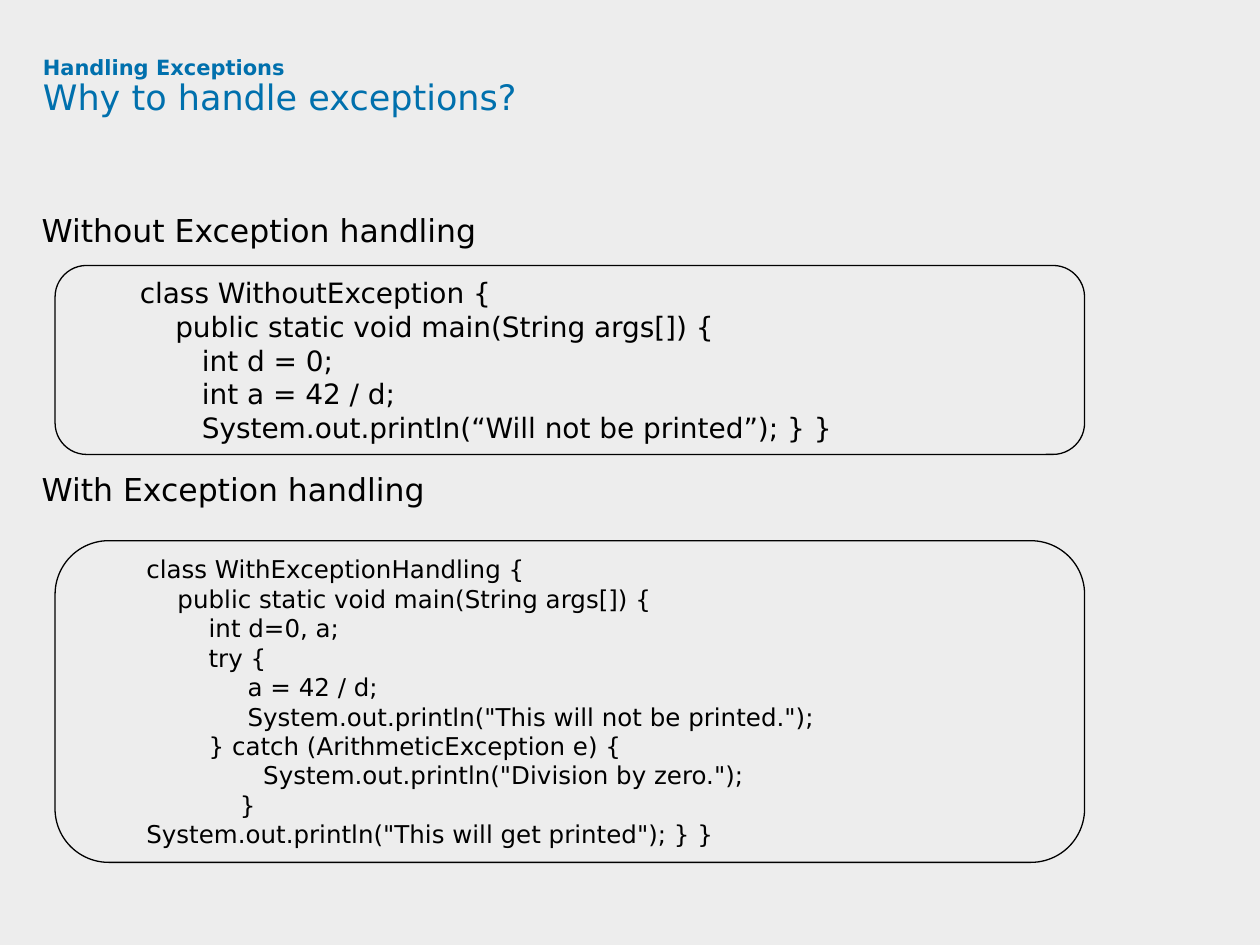
import pptx
import pptx.dml.color
import pptx.enum.shapes
import pptx.enum.text
import pptx.util

Pt = pptx.util.Pt
FONT = "DejaVu Sans"


def color(value):
    return pptx.dml.color.RGBColor.from_string(value)


def add_run(p, text, size, value, bold=False):
    r = p.add_run()
    r.text = text
    r.font.name = FONT
    r.font.size = Pt(size)
    r.font.bold = bold
    r.font.color.rgb = color(value)


prs = pptx.Presentation()
prs.slide_width, prs.slide_height = Pt(720), Pt(540)
s = prs.slides.add_slide(prs.slide_layouts[6])

# Background
s.background.fill.solid()
s.background.fill.fore_color.rgb = color("EDEDED")

# Title and section headings share frames without insets
frames = []
for left, top, width, height in [(24.5, 33, 654.5, 68), (23.8, 117.4, 696, 366)]:
    tf = s.shapes.add_textbox(Pt(left), Pt(top), Pt(width), Pt(height)).text_frame
    tf.word_wrap = True
    tf.margin_left = tf.margin_top = tf.margin_right = tf.margin_bottom = 0
    frames.append(tf)
title, headings = frames

# Title
p = title.paragraphs[0]
p.line_spacing = 0.9
add_run(p, "Handling Exceptions", 12, "0070AD", True)
p.add_line_break()
add_run(p, "Why to handle exceptions?", 20, "0070AD")

# Section headings, with room for the first code box between them
p = headings.paragraphs[0]
add_run(p, "Without Exception handling", 18, "000000")
p = headings.add_paragraph()
p.space_before = Pt(118)
add_run(p, "With Exception handling", 18, "000000")
for p in headings.paragraphs:
    p.line_spacing = Pt(25)
    p.space_after = Pt(4.5)

# Code boxes: top, height, text size, code
code_boxes = [
    (151.7, 108, 16, """class WithoutException {
    public static void main(String args[]) {
       int d = 0;
       int a = 42 / d;
       System.out.println(“Will not be printed”); } }"""),
    (309, 183.8, 14, """class WithExceptionHandling {
    public static void main(String args[]) {
        int d=0, a;
        try {
             a = 42 / d;
             System.out.println("This will not be printed.");
        } catch (ArithmeticException e) {
               System.out.println("Division by zero.");
            }
System.out.println("This will get printed"); } }"""),
]
for top, height, size, code in code_boxes:
    sp = s.shapes.add_shape(pptx.enum.shapes.MSO_SHAPE.ROUNDED_RECTANGLE,
                            Pt(31.5), Pt(top), Pt(588.3), Pt(height))
    sp.shadow.inherit = False
    sp.fill.background()
    sp.line.color.rgb = color("000000")
    sp.line.width = Pt(0.75)
    tf = sp.text_frame
    tf.word_wrap = True
    tf.vertical_anchor = pptx.enum.text.MSO_ANCHOR.MIDDLE
    tf.margin_left = Pt(43.2)
    for i, line in enumerate(code.split("\n")):
        p = tf.add_paragraph() if i else tf.paragraphs[0]
        p.alignment = pptx.enum.text.PP_ALIGN.LEFT
        add_run(p, line, size, "000000")

prs.save("out.pptx")
